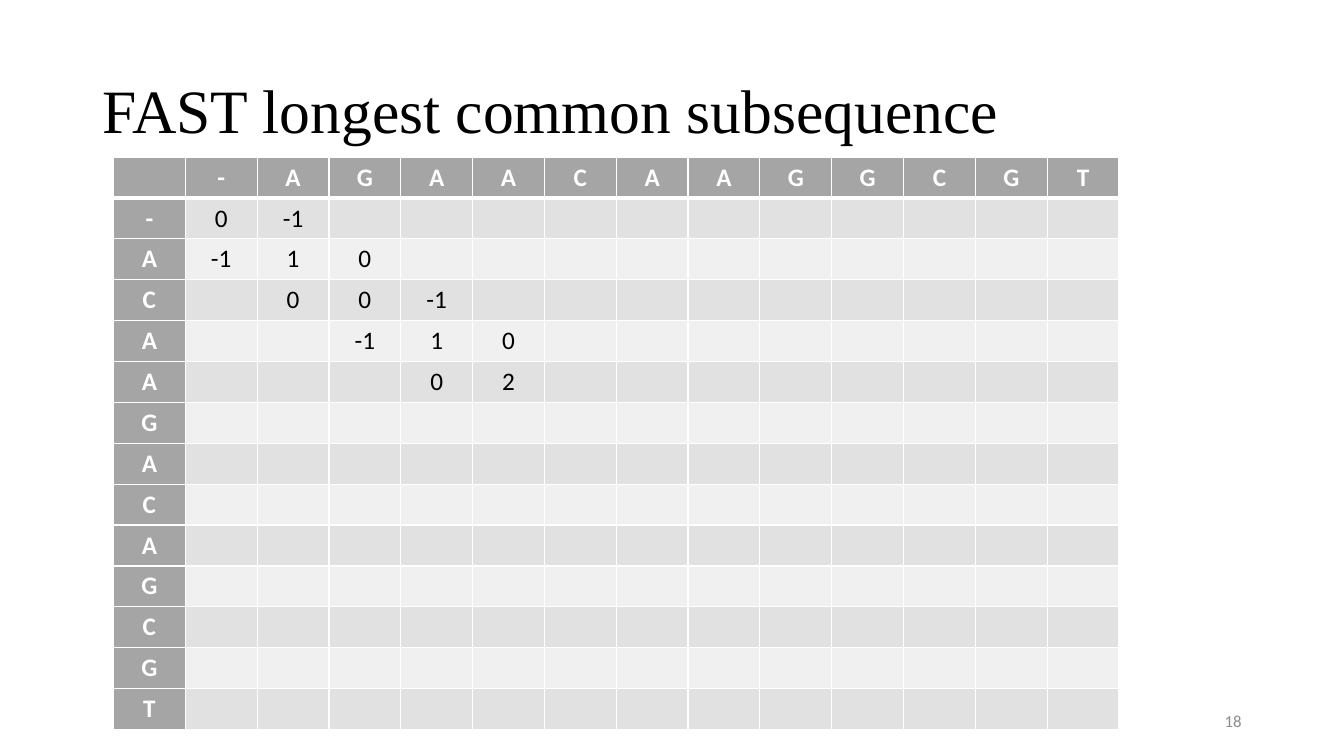
from dataclasses import dataclass

from lxml.etree import SubElement
from pptx import Presentation
from pptx.dml.color import RGBColor
from pptx.enum.text import MSO_ANCHOR, PP_ALIGN
from pptx.oxml.ns import qn
from pptx.slide import Slide
from pptx.table import _Cell
from pptx.text.text import _Paragraph
from pptx.util import Cm, Pt


@dataclass(frozen=True)
class TextStyle:
    font: str
    size: int
    color: str
    bold: bool = False
    align: PP_ALIGN = PP_ALIGN.LEFT
    line_spacing: float = 1.0


@dataclass(frozen=True)
class Theme:
    title = TextStyle("Times New Roman", 44, "000000", line_spacing=0.9)
    page_number = TextStyle("Calibri", 12, "8C8C8C", align=PP_ALIGN.RIGHT)
    base = TextStyle("Calibri", 18, "FFFFFF", True, PP_ALIGN.CENTER)
    score = TextStyle("Calibri", 18, "000000", align=PP_ALIGN.CENTER)
    header_fill: str = "A5A5A5"
    band_fills: tuple[str, str] = ("E1E1E1", "F0F0F0")
    grid: str = "FFFFFF"
    grid_width: int = 1
    header_rule_width: int = 3


@dataclass(frozen=True)
class Label:
    text: str
    left: float
    top: float
    width: float
    height: float
    style: TextStyle


@dataclass(frozen=True)
class ScoreRow:
    base: str
    first_column: int = 1
    scores: tuple[int, ...] = ()

    def texts(self, columns: int) -> list[str]:
        cells = [self.base] + [""] * (columns - 1)
        for column, score in enumerate(self.scores, self.first_column):
            cells[column] = str(score)
        return cells


THEME = Theme()

LABELS = (
    Label("FAST longest common subsequence", 2.33, 1.02, 29.21, 3.68, THEME.title),
    Label("18", 23.92, 17.66, 7.62, 1.01, THEME.page_number),
)

# Two aligned sequences; only a band along the diagonal is scored
TOP_SEQUENCE = "-AGAACAAGGCGT"
SCORE_ROWS = [
    ScoreRow("-", 1, (0, -1)),
    ScoreRow("A", 1, (-1, 1, 0)),
    ScoreRow("C", 2, (0, 0, -1)),
    ScoreRow("A", 3, (-1, 1, 0)),
    ScoreRow("A", 4, (0, 2)),
    *(ScoreRow(base) for base in "GACAGCGT"),
]
MATRIX_LEFT, MATRIX_TOP = 2.86, 3.96
COLUMN_WIDTH, ROW_HEIGHT = 1.81, 1.03


def write(paragraph: _Paragraph, text: str, style: TextStyle) -> None:
    paragraph.text = text
    paragraph.alignment = style.align
    paragraph.line_spacing = style.line_spacing
    for run in paragraph.runs:
        run.font.name = style.font
        run.font.size = Pt(style.size)
        run.font.bold = style.bold
        run.font.color.rgb = RGBColor.from_string(style.color)


def add_label(slide: Slide, label: Label) -> None:
    box = slide.shapes.add_textbox(
        Cm(label.left), Cm(label.top), Cm(label.width), Cm(label.height)
    )
    box.text_frame.word_wrap = True
    box.text_frame.vertical_anchor = MSO_ANCHOR.MIDDLE
    write(box.text_frame.paragraphs[0], label.text, label.style)


def set_borders(cell: _Cell, row: int) -> None:
    """Draw the grid, with a heavier rule below the header row."""
    widths = dict.fromkeys(("lnL", "lnR", "lnT", "lnB"), THEME.grid_width)
    if row < 2:
        widths["lnB" if row == 0 else "lnT"] = THEME.header_rule_width
    properties = cell._tc.get_or_add_tcPr()
    for side, width in widths.items():
        line = SubElement(properties, qn(f"a:{side}"), w=str(Pt(width)))
        fill = SubElement(line, qn("a:solidFill"))
        SubElement(fill, qn("a:srgbClr"), val=THEME.grid)


def add_matrix(slide: Slide) -> None:
    columns = len(TOP_SEQUENCE) + 1
    texts = [["", *TOP_SEQUENCE]] + [row.texts(columns) for row in SCORE_ROWS]
    matrix = slide.shapes.add_table(
        len(texts), columns, Cm(MATRIX_LEFT), Cm(MATRIX_TOP),
        Cm(COLUMN_WIDTH * columns), Cm(ROW_HEIGHT * len(texts)),
    ).table
    matrix.first_col = True
    for matrix_column in matrix.columns:
        matrix_column.width = Cm(COLUMN_WIDTH)
    for row, row_texts in enumerate(texts):
        matrix.rows[row].height = Cm(ROW_HEIGHT)
        for column, text in enumerate(row_texts):
            cell = matrix.cell(row, column)
            is_header = row == 0 or column == 0
            fill = THEME.header_fill if is_header else THEME.band_fills[(row - 1) % 2]
            set_borders(cell, row)
            cell.fill.solid()
            cell.fill.fore_color.rgb = RGBColor.from_string(fill)
            write(cell.text_frame.paragraphs[0], text,
                  THEME.base if is_header else THEME.score)


def main() -> None:
    presentation = Presentation()
    presentation.slide_width, presentation.slide_height = Cm(33.87), Cm(19.05)
    slide = presentation.slides.add_slide(presentation.slide_layouts[6])

    # Title and page number
    for label in LABELS:
        add_label(slide, label)

    # Scoring matrix
    add_matrix(slide)

    presentation.save("out.pptx")


if __name__ == "__main__":
    main()
